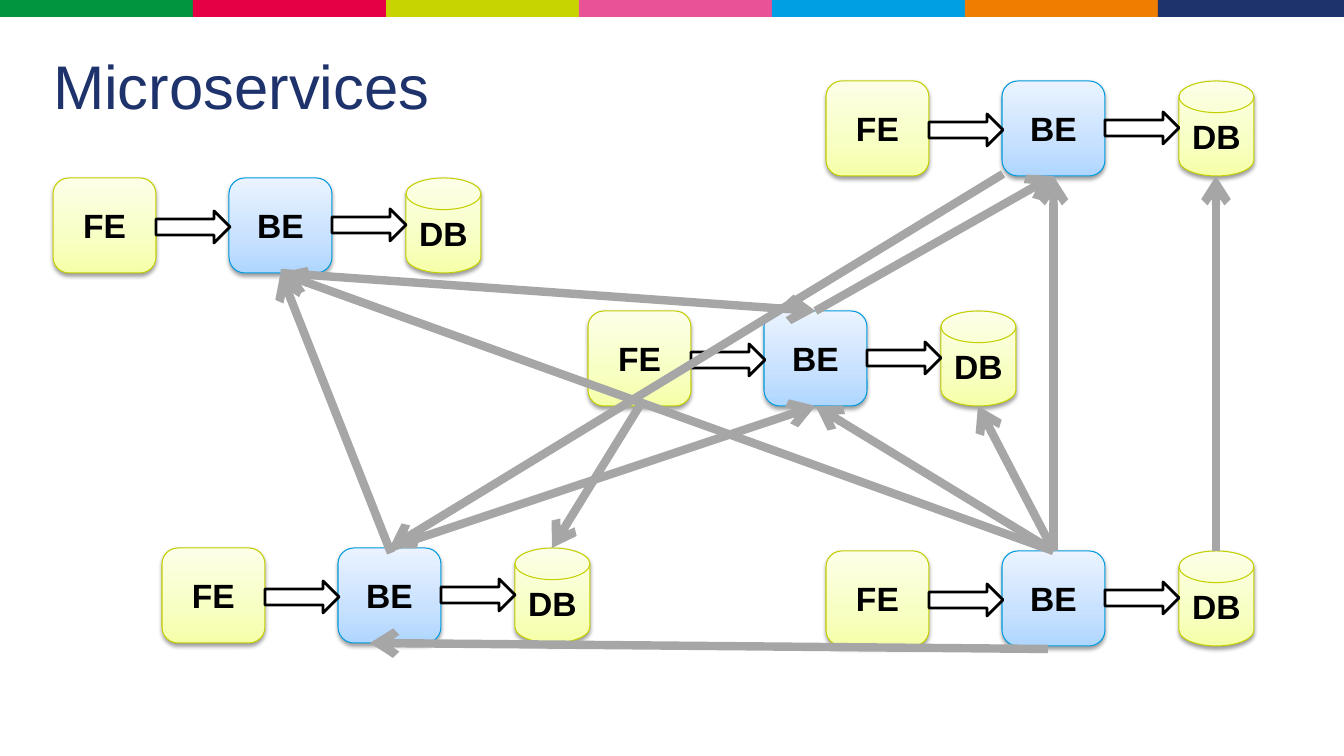
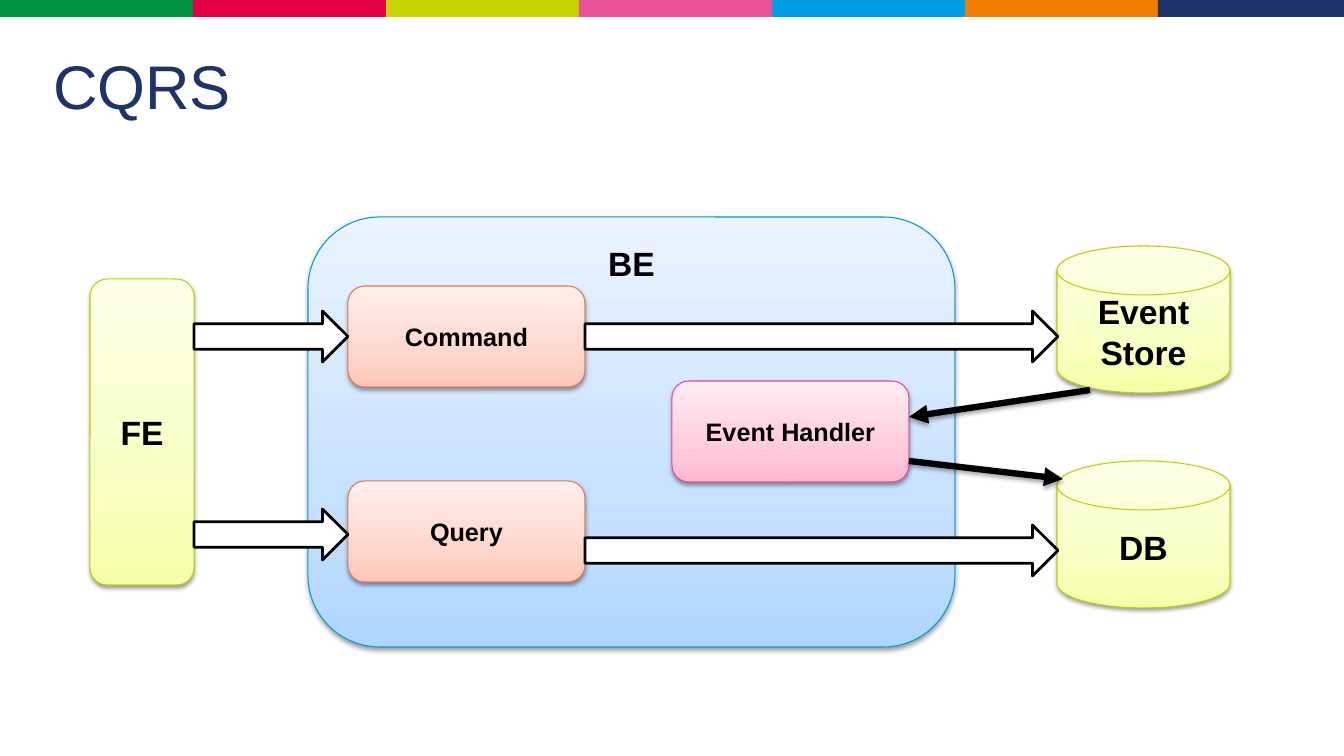
from collections import namedtuple

from pptx import Presentation
from pptx import util as u
from pptx.dml.color import RGBColor
from pptx.enum import shapes, text
from pptx.oxml import parse_xml
from pptx.oxml.ns import nsdecls, qn

WIDTH, HEIGHT = 1344, 756
FONT = "Arial"
BLACK, WHITE, GREY, NAVY = "000000", "FFFFFF", "A6A6A6", "1E326C"
BAND = ["009640", "E50046", "C8D400", "EA5297", "009FE3", "EF7D00", "1E326B"]

# Gradient stops from bottom to top, and the outline
Look = namedtuple("Look", "bottom middle top line")
LIME = Look("F5FFA8", "F8FFC2", "FCFFE8", "C4CF00")
BLUE = Look("AFD6FF", "C7E1FF", "EAF3FF", "009BDE")
ORANGE = Look("FFC7BA", "FFD7CE", "FFF0EC", "EE7947")
PINK = Look("FFB8D0", "FFCDDD", "FFECF2", "E94C93")

ROUND = shapes.MSO_SHAPE.ROUNDED_RECTANGLE
DISK = shapes.MSO_SHAPE.FLOWCHART_MAGNETIC_DISK
TOP, BOTTOM = 0, 2

Service = namedtuple("Service", "fe be db_top db_bottom")


def px(n):
    return u.Emu(round(n * 914400 / 100.8))


def rgb(value):
    return RGBColor.from_string(value)


def add_shadow(spPr, alpha, dist):
    spPr.find(qn("a:effectLst")).append(parse_xml(
        f'<a:outerShdw {nsdecls("a")} blurRad="40000" dist="{dist}" dir="5400000" rotWithShape="0">'
        f'<a:srgbClr val="{BLACK}"><a:alpha val="{alpha * 1000}"/></a:srgbClr></a:outerShdw>'))


class Deck:
    def __init__(self):
        self.prs = Presentation()
        self.prs.slide_width, self.prs.slide_height = px(WIDTH), px(HEIGHT)
        self.layout = self.prs.slide_layouts.get_by_name("Title Only")
        self.s = None

    def slide(self, title):
        self.s = self.prs.slides.add_slide(self.layout)
        sp = self.s.shapes.title
        sp.left, sp.top, sp.width, sp.height = px(53), px(39), px(1242), px(92)
        tf = sp.text_frame
        tf.margin_left = tf.margin_right = tf.margin_top = tf.margin_bottom = 0
        tf.auto_size = text.MSO_AUTO_SIZE.NONE
        self.label(tf, title, 44, NAVY, False, text.PP_ALIGN.LEFT)

    def label(self, tf, words, size, color=BLACK, bold=True,
              align=text.PP_ALIGN.CENTER, anchor=text.MSO_ANCHOR.MIDDLE):
        tf.word_wrap = True
        tf.vertical_anchor = anchor
        p = tf.paragraphs[0]
        p.alignment = align
        r = p.add_run()
        r.text = words
        r.font.name, r.font.size, r.font.bold = FONT, u.Pt(size), bold
        r.font.color.rgb = rgb(color)

    def shape(self, kind, x, y, w, h, into=None):
        target = self.s.shapes if into is None else into.shapes
        sp = target.add_shape(kind, px(x), px(y), px(w), px(h))
        sp.shadow.inherit = False
        return sp

    def band(self):
        """Draw the colour band and move it to the layout all slides share."""
        step = 193
        for i, color in enumerate(BAND):
            x = i * step
            sp = self.shape(shapes.MSO_SHAPE.RECTANGLE, x, 0, min(step, WIDTH - x), 17)
            sp.fill.solid()
            sp.fill.fore_color.rgb = rgb(color)
            sp.line.fill.background()
            sp._element.nvSpPr.cNvPr.id = 100 + i
            self.layout.shapes._spTree.append(sp._element)

    def node(self, kind, x, y, w, h, words, look, size=24,
             anchor=text.MSO_ANCHOR.MIDDLE, into=None):
        """Add a labelled box or disk with a gradient and a soft shadow."""
        sp = self.shape(kind, x, y, w, h, into)
        spPr = sp._element.spPr
        stops = "".join(
            f'<a:gs pos="{pos}"><a:srgbClr val="{color}"/></a:gs>'
            for pos, color in zip((0, 35000, 100000), look))
        spPr.insert(2, parse_xml(
            f'<a:gradFill {nsdecls("a")} rotWithShape="1"><a:gsLst>{stops}</a:gsLst>'
            '<a:lin ang="16200000" scaled="0"/></a:gradFill>'))
        sp.line.color.rgb = rgb(look.line)
        sp.line.width = u.Pt(0.75)
        add_shadow(spPr, 38, 20000)
        self.label(sp.text_frame, words, size, anchor=anchor)
        return sp

    def block_arrow(self, x, y, w, h, into=None):
        sp = self.shape(shapes.MSO_SHAPE.RIGHT_ARROW, x, y, w, h, into)
        sp.fill.solid()
        sp.fill.fore_color.rgb = rgb(WHITE)
        sp.line.color.rgb = rgb(BLACK)
        sp.line.width = u.Pt(2)

    def service(self, x, y):
        """Add a grouped FE, BE and DB chain whose top left corner is x, y."""
        step, w, h, disk_w = 176, 103, 95, 75
        grp = self.s.shapes.add_group_shape()
        db_x = x + 2 * step + 1
        self.node(DISK, db_x, y, disk_w, h, "DB", LIME, into=grp)
        fe = self.node(ROUND, x, y, w, h, "FE", LIME, into=grp)
        be = self.node(ROUND, x + step, y, w, h, "BE", BLUE, into=grp)
        for i, dy in enumerate((33, 31)):
            self.block_arrow(x + w + i * step, y + dy, step - w + 1, 32, into=grp)
        middle = db_x + disk_w // 2
        return Service(fe, be, (middle, y), (middle, y + h))

    def link(self, begin, end, color, width, head):
        """Add an arrow; each end is (x, y) or (shape, connection site)."""
        c = self.s.shapes.add_connector(shapes.MSO_CONNECTOR.STRAIGHT, 0, 0, 0, 0)
        if isinstance(begin[0], int):
            c.begin_x, c.begin_y = map(px, begin)
        else:
            c.begin_connect(*begin)
        if isinstance(end[0], int):
            c.end_x, c.end_y = map(px, end)
        else:
            c.end_connect(*end)
        c.line.color.rgb = rgb(color)
        c.line.width = u.Pt(width)
        spPr = c._element.spPr
        spPr.find(qn("a:ln")).append(parse_xml(f'<a:tailEnd {nsdecls("a")} type="{head}"/>'))
        spPr.append(parse_xml(f'<a:effectLst {nsdecls("a")}/>'))
        return spPr


def microservices(deck):
    deck.slide("Microservices")
    deck.band()
    sw, ne, nw, mid, se = (deck.service(x, y) for x, y in (
        (162, 548), (826, 81), (53, 178), (588, 311), (826, 551)))
    for begin, end in (
        ((sw.be, TOP), (mid.be, BOTTOM)),
        ((mid.be, TOP), (ne.be, BOTTOM)),
        ((nw.be, BOTTOM), (mid.be, TOP)),
        ((se.be, TOP), (ne.be, BOTTOM)),
        ((se.be, TOP), mid.db_bottom),
        ((mid.fe, BOTTOM), sw.db_top),
        (se.db_top, ne.db_bottom),
        ((se.be, TOP), (nw.be, BOTTOM)),
        ((1003, 174), (sw.be, TOP)),
        ((391, 553), (nw.be, BOTTOM)),
        ((se.be, TOP), (mid.be, BOTTOM)),
        ((1048, 649), (370, 643)),
    ):
        deck.link(begin, end, GREY, 6, "arrow")


def cqrs(deck):
    deck.slide("CQRS")
    deck.node(ROUND, 90, 279, 104, 306, "FE", LIME)
    deck.node(ROUND, 308, 217, 647, 430, "BE", BLUE, anchor=text.MSO_ANCHOR.TOP)
    for y, words in ((246, "Event Store"), (461, "DB")):
        deck.node(DISK, 1057, y, 173, 147, words, LIME)
    for x, y, words, look in (
        (348, 286, "Command", ORANGE),
        (348, 481, "Query", ORANGE),
        (672, 381, "Event Handler", PINK),
    ):
        deck.node(ROUND, x, y, 237, 101, words, look, size=18)
    for x, y, w in ((194, 311, 154), (194, 509, 154), (585, 311, 473), (585, 525, 473)):
        deck.block_arrow(x, y, w, 51)
    for begin, end in (((1090, 390), (909, 417)), ((909, 461), (1063, 479))):
        add_shadow(deck.link(begin, end, BLACK, 4.5, "triangle"), 35, 23000)


def main():
    deck = Deck()
    microservices(deck)
    cqrs(deck)
    deck.prs.save("out.pptx")


if __name__ == "__main__":
    main()
